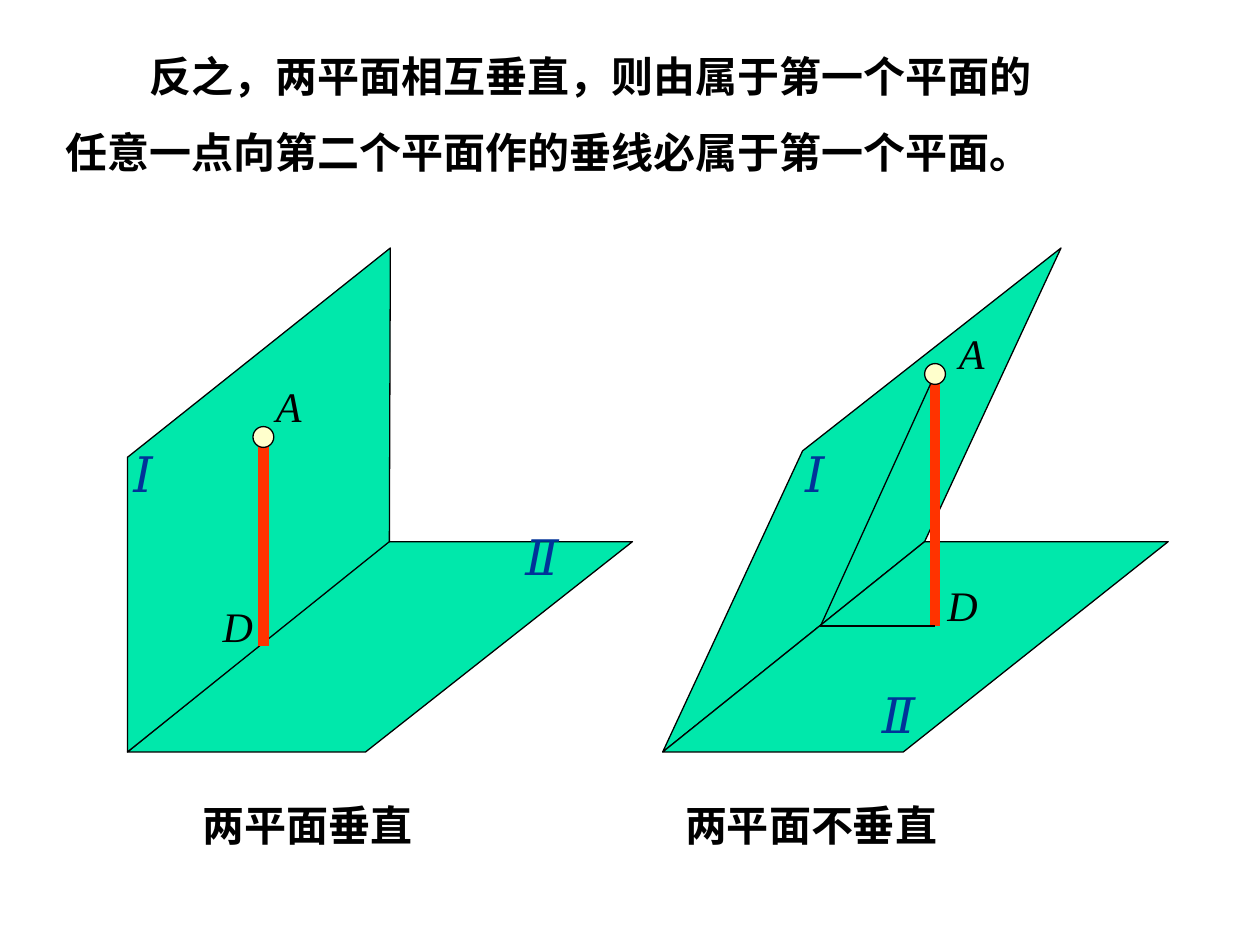
from lxml import etree
from pptx import Presentation
from pptx import util as u
from pptx.dml.color import RGBColor
from pptx.enum import shapes, text
from pptx.oxml.ns import qn

COLORS = {"plane": "00E8AB", "ink": "000000", "perpendicular": "FF3300",
          "numeral": "003399", "point": "FFFFCC"}
SERIF, SANS = "Times New Roman", "Noto Sans CJK SC"
THIN, THICK = 0.75, 6
POINT_SIZE = 0.42

# All positions and sizes are in centimetres.
STATEMENT = ("反之，两平面相互垂直，则由属于第一个平面的"
             "任意一点向第二个平面作的垂线必属于第一个平面。")
STATEMENT_BOX = (1.07, 0.38, 20.27, 3.3)
CAPTIONS = [("两平面垂直", (3.84, 16, 5.08, 1.27)),
            ("两平面不垂直", (13.56, 16, 6.55, 1.27))]

LABEL_STYLES = {
    "A": dict(size=24, color="ink", width=1.07, height=1.27),
    "D": dict(size=24, color="ink", width=1.07, height=1.27),
    "Ⅰ": dict(size=28, color="numeral", width=0.89, height=1.45),
    "Ⅱ": dict(size=28, color="numeral", width=1.17, height=1.45),
}

FIGURES = [
    {   # oblique planes
        "planes": [
            [(16.18, 9.09), (13.36, 15.16), (18.64, 10.92), (21.39, 5)],
            [(13.36, 15.16), (18.21, 15.16), (23.55, 10.92), (18.64, 10.92)],
        ],
        "perpendicular": [(18.85, 7.54), (18.85, 12.62)],
        "helper_path": [(18.85, 7.54), (16.54, 12.62), (18.85, 12.62)],
        "labels": {"A": (19.08, 6.48), "D": (18.85, 11.56),
                   "Ⅰ": (15.98, 8.81), "Ⅱ": (17.53, 13.67)},
    },
    {   # perpendicular planes
        "planes": [
            [(2.57, 15.16), (7.37, 15.16), (12.75, 10.92), (7.82, 10.92)],
            [(2.57, 9.22), (2.57, 15.16), (7.85, 10.92), (7.87, 5)],
        ],
        "perpendicular": [(5.31, 8.81), (5.31, 13.03)],
        "helper_path": [],
        "labels": {"A": (5.31, 7.54), "D": (4.24, 11.99),
                   "Ⅰ": (2.44, 8.81), "Ⅱ": (10.34, 10.49)},
    },
]


def rgb(name):
    return RGBColor.from_string(COLORS[name])


def cm(values):
    return [u.Cm(value) for value in values]


def paint(shape, fill):
    """Give a shape a flat fill and a thin outline."""
    shape.shadow.inherit = False
    shape.fill.solid()
    shape.fill.fore_color.rgb = rgb(fill)
    shape.line.color.rgb = rgb("ink")
    shape.line.width = u.Pt(THIN)


def add_text(parent, content, box, size=24, color="ink", latin=SERIF,
             asian=SANS, wrap=True, bold=False, italic=False):
    shape = parent.add_textbox(*cm(box))
    frame = shape.text_frame
    frame.word_wrap = wrap
    frame.auto_size = text.MSO_AUTO_SIZE.NONE
    paragraph = frame.paragraphs[0]
    run = paragraph.add_run()
    run.text = content
    font = run.font
    font.name, font.size = latin, u.Pt(size)
    font.bold, font.italic = bold, italic
    font.color.rgb = rgb(color)
    properties = run._r.get_or_add_rPr()
    etree.SubElement(properties, qn("a:ea")).set("typeface", asian)
    return paragraph


def add_plane(parent, corners):
    points = [tuple(cm(corner)) for corner in corners]
    builder = parent.build_freeform(*points[0], scale=1.0)
    builder.add_line_segments(points[1:], close=True)
    paint(builder.convert_to_shape(), "plane")


def add_line(parent, start, end, color, width):
    line = parent.add_connector(shapes.MSO_CONNECTOR.STRAIGHT, *cm(start + end))
    line.line.color.rgb = rgb(color)
    line.line.width = u.Pt(width)
    etree.SubElement(line._element.spPr, qn("a:effectLst"))


def add_point(parent, center):
    left, top = (value - POINT_SIZE / 2 for value in center)
    box = cm((left, top, POINT_SIZE, POINT_SIZE))
    paint(parent.add_shape(shapes.MSO_SHAPE.OVAL, *box), "point")


def add_figure(slide, figure):
    parent = slide.shapes.add_group_shape().shapes
    for corners in figure["planes"]:
        add_plane(parent, corners)
    point, foot = figure["perpendicular"]
    add_line(parent, point, foot, "perpendicular", THICK)
    path = figure["helper_path"]
    for start, end in zip(path, path[1:]):
        add_line(parent, start, end, "ink", THIN)
    add_point(parent, point)
    for label, position in figure["labels"].items():
        style = LABEL_STYLES[label]
        box = position + (style["width"], style["height"])
        add_text(parent, label, box, style["size"], style["color"],
                 asian=SERIF, wrap=False, italic=True)


def main():
    presentation = Presentation()
    presentation.slide_width, presentation.slide_height = cm((25.4, 19.05))
    slide = presentation.slides.add_slide(presentation.slide_layouts[6])

    statement = add_text(slide.shapes, STATEMENT, STATEMENT_BOX,
                         latin=SANS, bold=True)
    statement.line_spacing = u.Pt(43.4)
    two_characters = u.Pt(48)
    statement._p.get_or_add_pPr().set("indent", str(two_characters))

    for figure in FIGURES:
        add_figure(slide, figure)
    for caption, box in CAPTIONS:
        add_text(slide.shapes, caption, box, bold=True)
    presentation.save("out.pptx")


if __name__ == "__main__":
    main()
